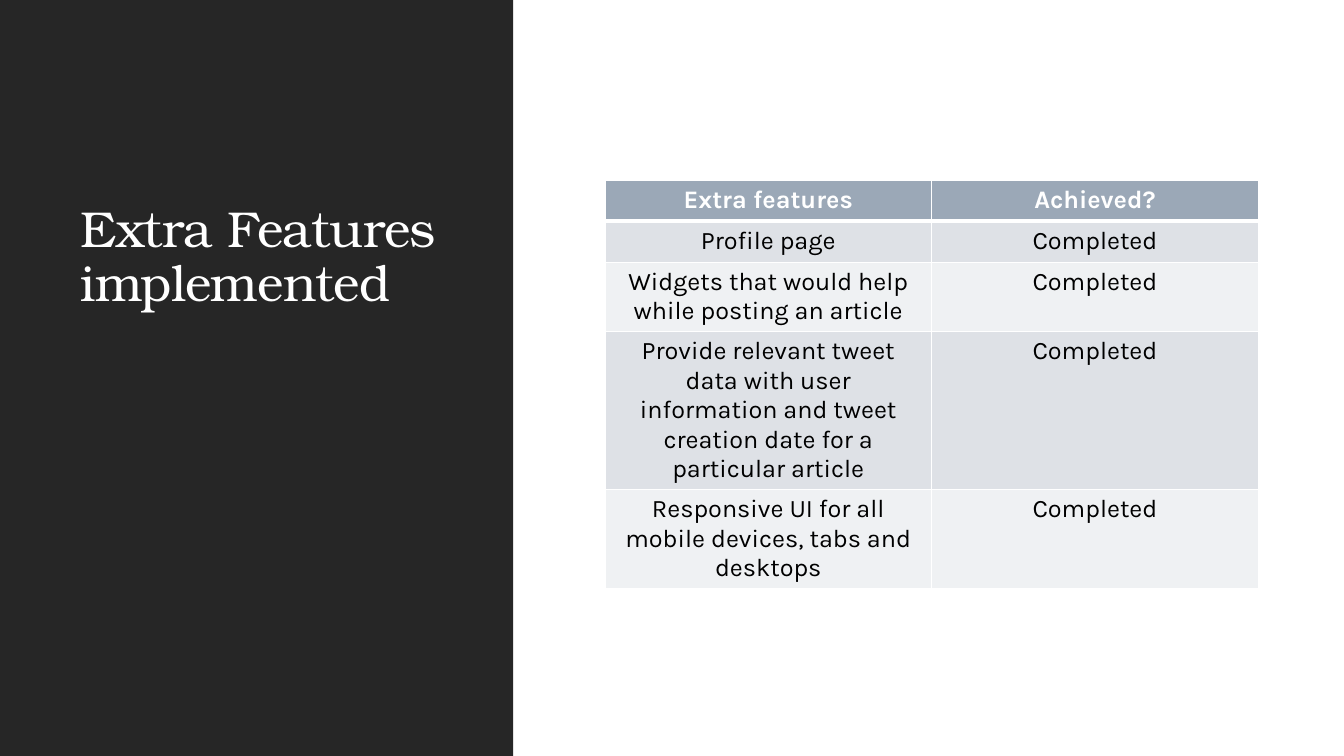
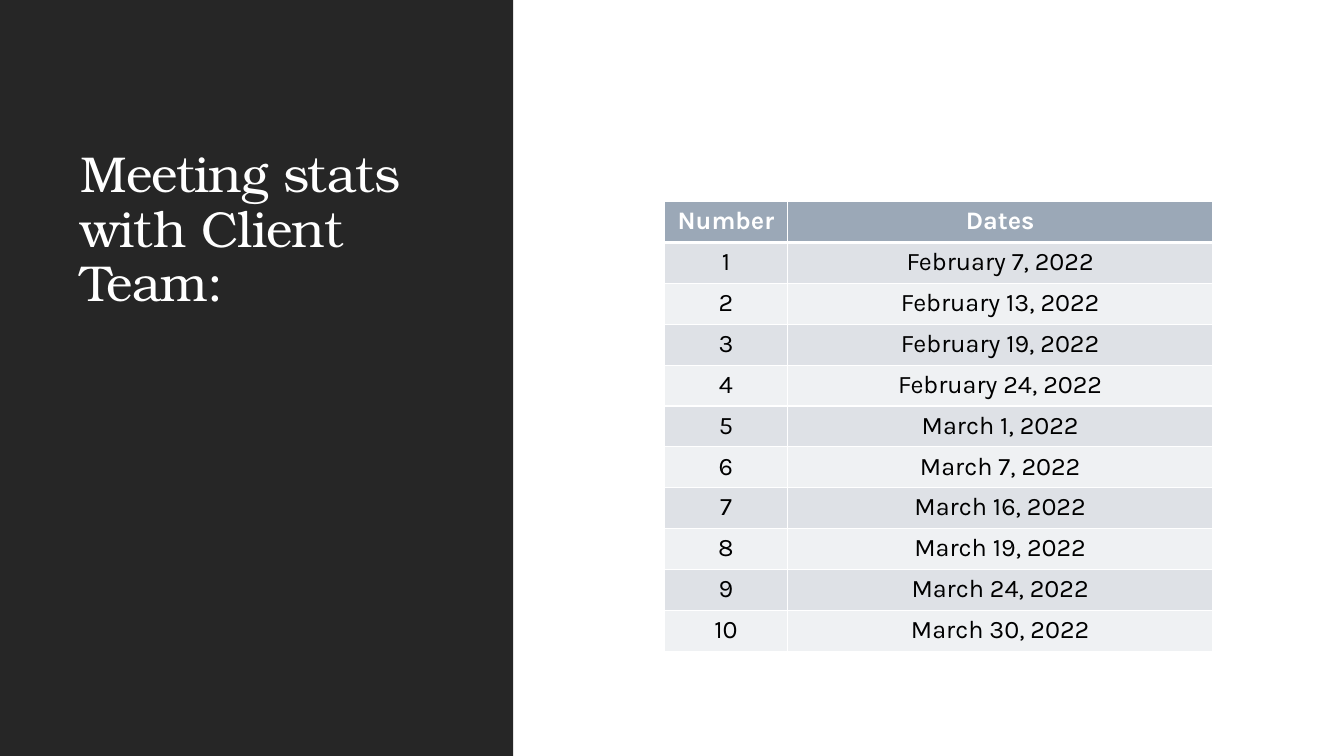
import dataclasses

import lxml.etree
import pptx
import pptx.dml.color
import pptx.enum.shapes
import pptx.enum.text
import pptx.oxml.ns
import pptx.util

Inches = pptx.util.Inches
Pt = pptx.util.Pt
RGBColor = pptx.dml.color.RGBColor
qn = pptx.oxml.ns.qn

WIDE, HIGH = Inches(13.33), Inches(7.5)
BAND_W = Inches(5.09)
ROW_H = Pt(29.2)

WHITE = RGBColor(0xFF, 0xFF, 0xFF)
BLACK = RGBColor(0x00, 0x00, 0x00)
DARK = RGBColor(0x26, 0x26, 0x26)
HEAD = RGBColor(0x9B, 0xA8, 0xB7)
STRIPES = (RGBColor(0xDE, 0xE1, 0xE6), RGBColor(0xEF, 0xF1, 0xF3))

SERIF, SANS = "TeX Gyre Bonum", "Karla"


@dataclasses.dataclass(frozen=True)
class Page:
    title: str
    left: float
    top: float
    widths: tuple[float, ...]
    rows: list[tuple[str, ...]]


DATES = [
    "February 7, 2022", "February 13, 2022", "February 19, 2022",
    "February 24, 2022", "March 1, 2022", "March 7, 2022",
    "March 16, 2022", "March 19, 2022", "March 24, 2022", "March 30, 2022",
]
TASKS = [
    "Profile page",
    "Widgets that would help while posting an article",
    "Provide relevant tweet data with user information and tweet "
    "creation date for a particular article",
    "Responsive UI for all mobile devices, tabs and desktops",
]
PAGES = [
    Page("Extra Features implemented", 6, 1.79, (3.24, 3.24),
         [("Extra features", "Achieved?")]
         + [(task, "Completed") for task in TASKS]),
    Page("Meeting stats with Client Team:", 6.59, 2, (1.22, 4.22),
         [("Number", "Dates")]
         + [(str(num), date) for num, date in enumerate(DATES, 1)]),
]


def add_run(para, text: str, font: str, size: float, color: RGBColor,
            bold: bool = False):
    run = para.add_run()
    run.text = text
    run.font.name = font
    run.font.size = Pt(size)
    run.font.bold = bold
    run.font.color.rgb = color
    return run


def set_layout(layout, slide) -> None:
    """Place the title and move a dark side band onto the shared layout."""
    title = next(iter(layout.placeholders))
    title.left, title.top = Inches(0.7), Inches(0.86)
    title.width, title.height = Inches(3.85), Inches(2.29)
    band = slide.shapes.add_shape(
        pptx.enum.shapes.MSO_SHAPE.RECTANGLE, 0, 0, BAND_W, HIGH)
    band.shadow.inherit = False
    band.fill.solid()
    band.fill.fore_color.rgb = DARK
    band.line.fill.background()
    layout.shapes.element.insert(2, band.element)


def add_title(slide, text: str) -> None:
    frame = slide.shapes.title.text_frame
    frame.word_wrap = True
    frame.auto_size = pptx.enum.text.MSO_AUTO_SIZE.NONE
    frame.vertical_anchor = pptx.enum.text.MSO_ANCHOR.BOTTOM
    para = frame.paragraphs[0]
    para.alignment = pptx.enum.text.PP_ALIGN.LEFT
    para.line_spacing = 0.9
    run = add_run(para, text, SERIF, 36, WHITE)
    run.font._element.set("spc", "-50")


def set_edges(cell, row: int) -> None:
    """Draw white cell borders, thicker between the header and the body."""
    props = cell._tc.get_or_add_tcPr()
    thick = {0: "lnB", 1: "lnT"}.get(row)
    for side in ("lnL", "lnR", "lnT", "lnB"):
        line = lxml.etree.SubElement(props, qn(f"a:{side}"))
        line.set("w", str(Pt(3 if side == thick else 1)))
        fill = lxml.etree.SubElement(line, qn("a:solidFill"))
        lxml.etree.SubElement(fill, qn("a:srgbClr")).set("val", str(WHITE))


def fill_cell(cell, text: str, row: int) -> None:
    head = row == 0
    set_edges(cell, row)
    cell.fill.solid()
    cell.fill.fore_color.rgb = HEAD if head else STRIPES[(row - 1) % 2]
    para = cell.text_frame.paragraphs[0]
    para.alignment = pptx.enum.text.PP_ALIGN.CENTER
    add_run(para, text, SANS, 18, WHITE if head else BLACK, bold=head)


def add_grid(slide, page: Page) -> None:
    count = len(page.rows)
    table = slide.shapes.add_table(
        count, len(page.widths), Inches(page.left), Inches(page.top),
        Inches(sum(page.widths)), ROW_H * count).table
    table.horz_banding = False
    for col, width in zip(table.columns, page.widths):
        col.width = Inches(width)
    for row, texts in enumerate(page.rows):
        table.rows[row].height = ROW_H
        for col, text in enumerate(texts):
            fill_cell(table.cell(row, col), text, row)


def main() -> None:
    deck = pptx.Presentation()
    deck.slide_width, deck.slide_height = WIDE, HIGH
    layout = deck.slide_layouts.get_by_name("Title Only")
    slides = [deck.slides.add_slide(layout) for _ in PAGES]
    set_layout(layout, slides[0])
    for slide, page in zip(slides, PAGES):
        add_title(slide, page.title)
        add_grid(slide, page)
    deck.save("out.pptx")


if __name__ == "__main__":
    main()
